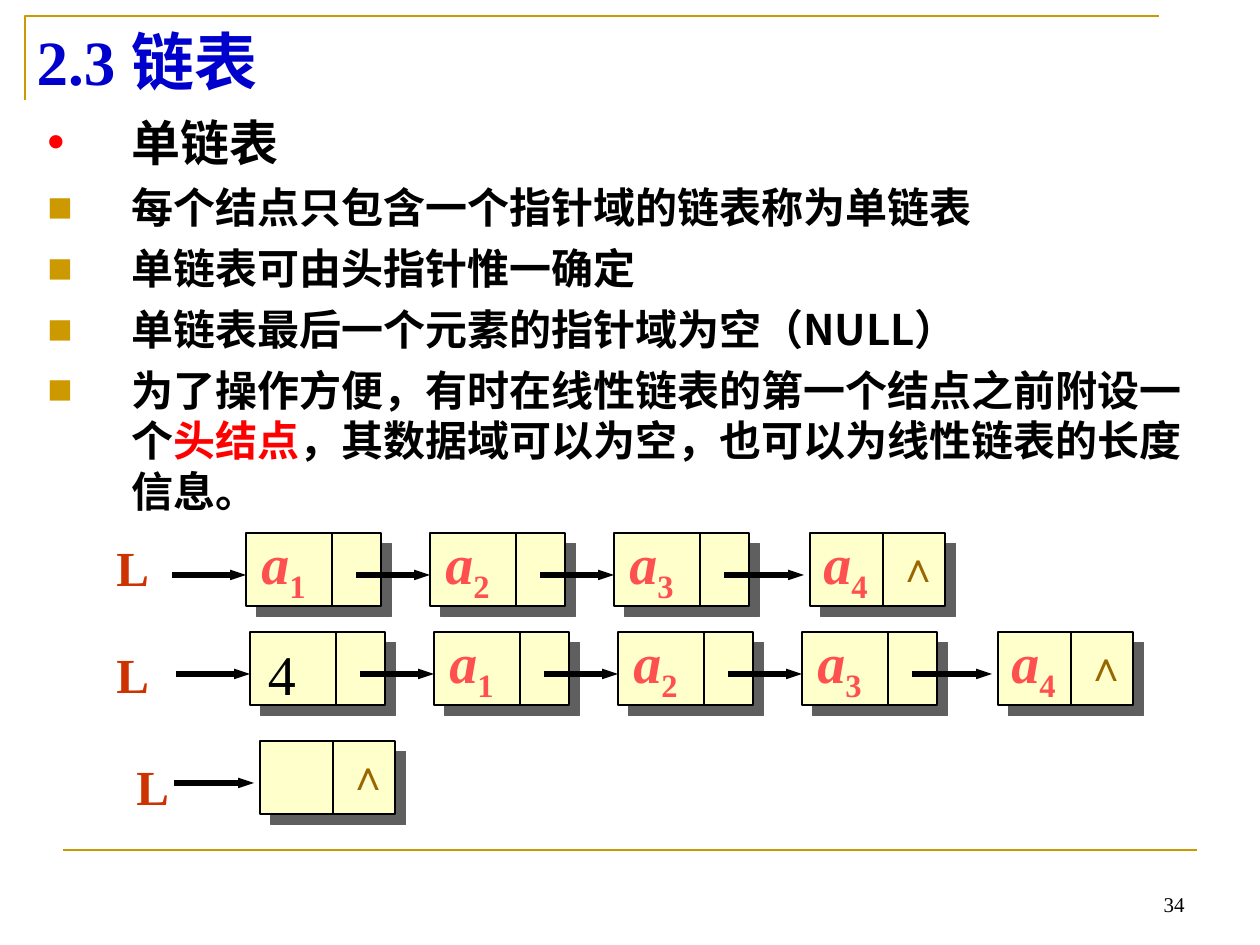
from lxml.etree import SubElement
from pptx import Presentation
from pptx.dml.color import RGBColor
from pptx.enum.shapes import MSO_CONNECTOR, MSO_SHAPE
from pptx.enum.text import MSO_ANCHOR, MSO_AUTO_SIZE, PP_ALIGN
from pptx.oxml.ns import qn
from pptx.util import Pt

PX = 914400 / 126
SERIF, SANS, CJK = "Times New Roman", "Arial", "Noto Sans CJK SC"
COLORS = {
    "gold": "CC9900", "title": "0000CC", "text": "000000", "red": "FF0000",
    "node": "FFFFCC", "shadow": "5F5F5F", "data": "FF5050", "null": "996600",
    "head": "CC3300",
}
BULLETS = [
    ("•", "red", 28, [("单链表", "text")]),
    ("■", "gold", 24, [("每个结点只包含一个指针域的链表称为单链表", "text")]),
    ("■", "gold", 24, [("单链表可由头指针惟一确定", "text")]),
    ("■", "gold", 24, [("单链表最后一个元素的指针域为空（NULL）", "text")]),
    ("■", "gold", 24, [
        ("为了操作方便，有时在线性链表的第一个结点之前附设一个", "text"),
        ("头结点", "red"),
        ("，其数据域可以为空，也可以为线性链表的长度信息。", "text")]),
]
# grid left, top, node contents, left and top of the head label
LISTS = [
    (246, 533, ["a1", "a2", "a3", "a4"], 104, 531),
    (250, 632, ["4", "a1", "a2", "a3", "a4"], 104, 638),
    (248, 741, [""], 124, 750),
]
NODE_W, NODE_H, PITCH = 135, 73, 184
ARROW_LEN, ARROW_DROP = 74, 42


def px(*values):
    return [round(v * PX) for v in values]


def color(name):
    return RGBColor.from_string(COLORS[name])


def style_run(r, size, name, font=SERIF, bold=True):
    r.font.size, r.font.name, r.font.bold = Pt(size), font, bold
    r.font.color.rgb = color(name)
    SubElement(r._r.get_or_add_rPr(), qn("a:ea"), typeface=CJK)


def add_text(slide, box, text, size, name, font=SERIF, bold=True,
             align=PP_ALIGN.LEFT):
    sp = slide.shapes.add_textbox(*px(*box))
    tf = sp.text_frame
    tf.word_wrap = False
    tf.auto_size = MSO_AUTO_SIZE.SHAPE_TO_FIT_TEXT
    p = tf.paragraphs[0]
    p.text, p.alignment = text, align
    style_run(p.runs[0], size, name, font, bold)
    return sp


def add_line(slide, start, end, name="text", width=0.75, arrow=False):
    line = slide.shapes.add_connector(MSO_CONNECTOR.STRAIGHT, *px(*start, *end))
    line.line.color.rgb = color(name)
    line.line.width = Pt(width)
    if arrow:
        SubElement(line.line._get_or_add_ln(), qn("a:tailEnd"),
                   type="triangle", w="sm", len="med")
    SubElement(line._element.spPr, qn("a:effectLst"))


def add_frame(slide):
    """Draw the corner rule around the title and the footer rule."""
    builder = slide.shapes.build_freeform(25, 100, scale=PX)
    builder.add_line_segments([(25, 16), (1159, 16)], close=False)
    sp = builder.convert_to_shape()
    sp.fill.background()
    sp.line.color.rgb = color("gold")
    sp.line.width = Pt(1.5)
    sp.shadow.inherit = False
    add_line(slide, (63, 850), (1197, 850), "gold", 1.5)


def add_title(slide, text):
    sp = slide.shapes.title
    sp.left, sp.top, sp.width, sp.height = px(24, 16, 1134, 89)
    tf = sp.text_frame
    tf.text = text
    tf.auto_size = MSO_AUTO_SIZE.NONE
    tf.vertical_anchor = MSO_ANCHOR.MIDDLE
    p = tf.paragraphs[0]
    p.alignment = PP_ALIGN.LEFT
    style_run(p.runs[0], 36, "title")


def set_bullet(p, char, name):
    pPr = p._p.get_or_add_pPr()
    indent = px(84)[0]
    pPr.set("marL", str(indent))
    pPr.set("indent", str(-indent))
    fill = SubElement(pPr, qn("a:buClr"))
    SubElement(fill, qn("a:srgbClr"), val=COLORS[name])
    SubElement(pPr, qn("a:buFont"), typeface=SANS)
    SubElement(pPr, qn("a:buChar"), char=char)


def add_bullets(slide):
    tf = slide.shapes.add_textbox(*px(35, 106, 1160, 427)).text_frame
    tf.word_wrap = True
    tf.margin_right = 0
    for i, (char, bullet_color, size, parts) in enumerate(BULLETS):
        p = tf.paragraphs[0] if i == 0 else tf.add_paragraph()
        set_bullet(p, char, bullet_color)
        p.space_before = Pt(6 if i else 0)
        for text, name in parts:
            r = p.add_run()
            r.text = text
            style_run(r, size, name, CJK)


def add_node(slide, x, y, divider):
    sp = slide.shapes.add_shape(MSO_SHAPE.RECTANGLE, *px(x, y, NODE_W, NODE_H))
    sp.fill.solid()
    sp.fill.fore_color.rgb = color("node")
    sp.line.color.rgb = color("text")
    sp.line.width = Pt(0.75)
    sp.shadow.inherit = False
    effects = sp._element.spPr.find(qn("a:effectLst"))
    shadow = SubElement(effects, qn("a:outerShdw"), dist=str(Pt(8.5)),
                        dir="2700000", algn="ctr", rotWithShape="0")
    SubElement(shadow, qn("a:srgbClr"), val=COLORS["shadow"])
    add_line(slide, (x + divider, y), (x + divider, y + NODE_H))


def add_data(slide, x, y, value):
    """Write a plain number, or an italic letter with its subscript."""
    if value.isdigit():
        add_text(slide, (x, y + 1, 64, 81), value, 32, "text", bold=False,
                 align=PP_ALIGN.CENTER)
        return
    sp = add_text(slide, (x, y - 11, 69, 89), value[0], 32, "data")
    p = sp.text_frame.paragraphs[0]
    p.runs[0].font.italic = True
    r = p.add_run()
    r.text = value[1:]
    style_run(r, 32, "data")
    r._r.get_or_add_rPr().set("baseline", "-25000")


def add_linked_list(slide, left, top, values, label_x, label_y):
    """Draw a chain; its last node stands further right and ends in null."""
    last = len(values) - 1
    for i, value in enumerate(values):
        slot = left + i * PITCH
        is_last = i == last
        x, divider, reach = (slot + 12, 73, 6) if is_last else (slot, 86, 0)
        add_node(slide, x, top, divider)
        y = top + ARROW_DROP
        add_line(slide, (slot - ARROW_LEN, y), (slot + reach, y), width=3,
                 arrow=True)
        if value:
            inset = 0 if value.isdigit() else 1 if is_last else 3
            add_data(slide, x + inset, top, value)
    add_text(slide, (x + 75, top + 1, 59, 63), "∧", 24, "null", SANS)
    add_text(slide, (label_x, label_y, 58, 72), "L", 28, "head")


def main():
    prs = Presentation()
    prs.slide_width, prs.slide_height = px(1260, 945)
    slide = prs.slides.add_slide(prs.slide_layouts[5])
    add_frame(slide)
    add_title(slide, "2.3 链表")
    add_bullets(slide)
    for row in LISTS:
        add_linked_list(slide, *row)
    number = add_text(slide, (903, 860, 294, 63), "34", 12, "text", bold=False,
                      align=PP_ALIGN.RIGHT)
    number.text_frame.word_wrap = True
    number.text_frame.auto_size = MSO_AUTO_SIZE.NONE
    number.text_frame.vertical_anchor = MSO_ANCHOR.BOTTOM
    prs.save("out.pptx")


if __name__ == "__main__":
    main()
